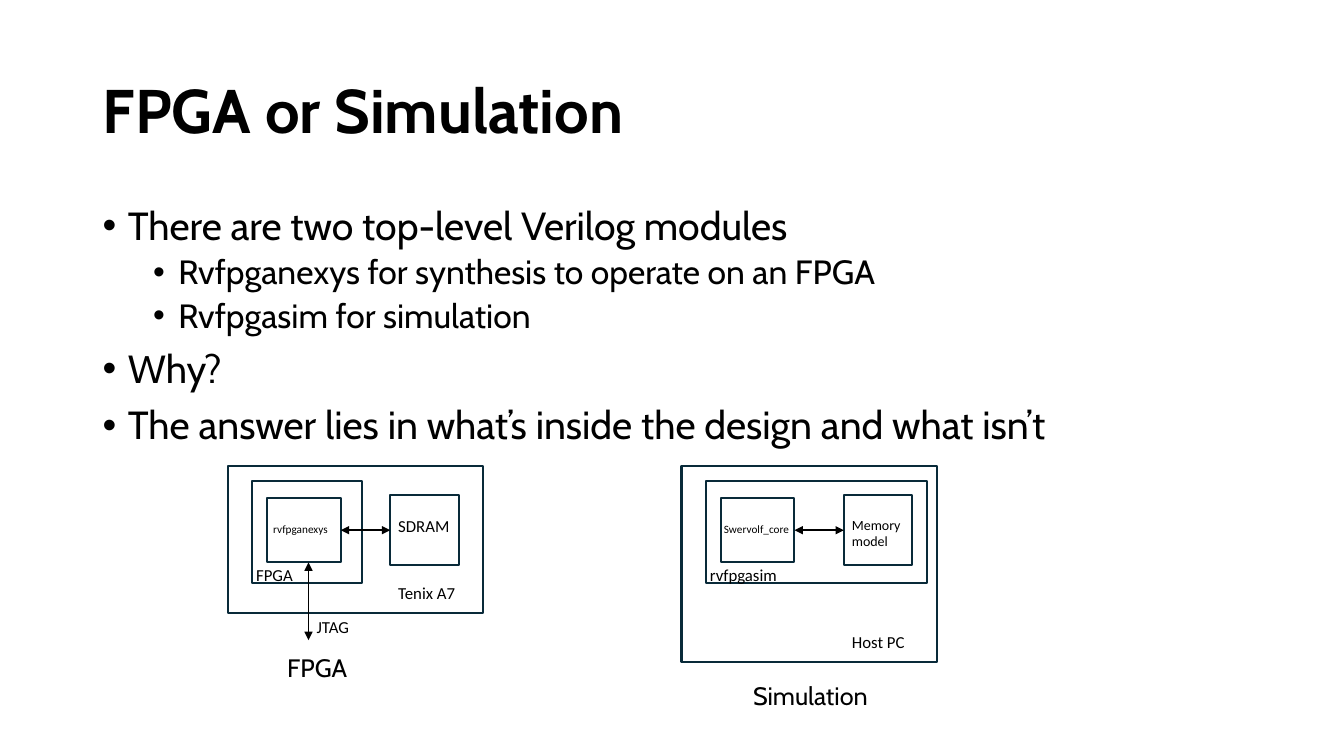
from lxml.etree import SubElement
from pptx import Presentation
from pptx.dml.color import RGBColor
from pptx.enum.shapes import MSO_CONNECTOR, MSO_SHAPE
from pptx.enum.text import MSO_ANCHOR, MSO_AUTO_SIZE, PP_ALIGN
from pptx.oxml.ns import qn
from pptx.util import Inches, Pt

BLACK = RGBColor(0x00, 0x00, 0x00)
WHITE = RGBColor(0xFF, 0xFF, 0xFF)
NAVY = RGBColor(0x09, 0x2A, 0x39)

TITLE = "FPGA or Simulation"
BULLETS = [
    (0, "There are two top-level Verilog modules"),
    (1, "Rvfpganexys for synthesis to operate on an FPGA"),
    (1, "Rvfpgasim for simulation"),
    (0, "Why?"),
    (0, "The answer lies in what’s inside the design and what isn’t"),
]
LEVELS = [dict(size=28, before=10, indent=0.25), dict(size=24, before=5, indent=0.75)]

DIAGRAMS = [
    dict(
        host="Tenix A7", host_height=1.46, design="FPGA", design_width=1.09,
        core="rvfpganexys", core_label=(0.45, 0.6), memory="SDRAM", memory_size=12,
        port="JTAG", caption="FPGA", caption_at=(0.49, 1.8, 1.68, 0.4),
    ),
    dict(
        host="Host PC", host_height=1.95, design="rvfpgasim", design_width=2.19,
        core="Swervolf_core", core_label=(0.42, 0.68), memory="Memory model", memory_size=10,
        port=None, caption="Simulation", caption_at=(0.61, 2.08, 1.99, 0.4),
    ),
]
DIAGRAM_LEFT, DIAGRAM_TOP, DIAGRAM_PITCH = 2.26, 4.62, 4.5
HOST_WIDTH = 2.53
BUS_Y = 0.64
CORE_LEFT, CORE_WIDTH, CORE_HEIGHT = 0.39, 0.73, 0.64
MEMORY_LEFT, MEMORY_WIDTH, MEMORY_HEIGHT = 1.61, 0.68, 0.7
LABEL_LEFT, LABEL_HEIGHT = 1.69, 0.23
PORT_X, PORT_BOTTOM = 0.8, 1.73


def write(paragraph, text, size, font="Calibri", bold=False, before=0, after=0, spacing=None):
    paragraph.alignment = PP_ALIGN.LEFT
    paragraph.space_before, paragraph.space_after = Pt(before), Pt(after)
    paragraph.line_spacing = spacing
    run = paragraph.add_run()
    run.text = text
    run.font.name, run.font.size, run.font.bold = font, Pt(size), bold
    run.font.color.rgb = BLACK


def add_bullet(paragraph, indent):
    properties = paragraph._p.get_or_add_pPr()
    properties.set("marL", str(Inches(indent)))
    properties.set("indent", str(Inches(-0.25)))
    SubElement(properties, qn("a:buFont"), typeface="Arial")
    SubElement(properties, qn("a:buChar"), char="•")


class Diagram:
    def __init__(self, slide, left, top):
        self.shapes = slide.shapes.add_group_shape().shapes
        self.left, self.top = left, top

    def place(self, left, top, width, height):
        return [Inches(v) for v in (self.left + left, self.top + top, width, height)]

    def box(self, *place, fill=None):
        shape = self.shapes.add_shape(MSO_SHAPE.RECTANGLE, *self.place(*place))
        shape.shadow.inherit = False
        if fill is None:
            shape.fill.background()
            shape.line.color.rgb, shape.line.width = NAVY, Pt(1.5)
        else:
            shape.fill.solid()
            shape.fill.fore_color.rgb = fill
            shape.line.fill.background()
        return shape

    def label(self, text, *place, size=12, fill=None):
        shape = self.box(*place, fill=fill) if fill else self.shapes.add_textbox(*self.place(*place))
        frame = shape.text_frame
        frame.word_wrap, frame.vertical_anchor = True, MSO_ANCHOR.TOP
        frame.margin_left = frame.margin_right = frame.margin_top = frame.margin_bottom = 0
        write(frame.paragraphs[0], text, size, after=6)

    def caption(self, text, *place):
        frame = self.shapes.add_textbox(*self.place(*place)).text_frame
        frame.word_wrap, frame.auto_size = True, MSO_AUTO_SIZE.SHAPE_TO_FIT_TEXT
        write(frame.paragraphs[0], text, 18, font="Cabin")

    def arrow(self, start, end, width):
        points = self.place(*start, *end)[:2] + self.place(*end, *start)[:2]
        connector = self.shapes.add_connector(MSO_CONNECTOR.STRAIGHT, *points)
        connector.line.color.rgb, connector.line.width = BLACK, Pt(width)
        line = connector.line._get_or_add_ln()
        for tag in ("a:headEnd", "a:tailEnd"):
            SubElement(line, qn(tag), type="triangle")
        SubElement(connector._element.spPr, qn("a:effectLst"))
        return connector


def draw_diagram(slide, column, content):
    diagram = Diagram(slide, DIAGRAM_LEFT + column * DIAGRAM_PITCH, DIAGRAM_TOP)
    host_height = content["host_height"]
    core_right = CORE_LEFT + CORE_WIDTH
    core_bottom = BUS_Y + CORE_HEIGHT / 2

    diagram.box(0, 0, HOST_WIDTH, host_height)
    diagram.box(0.24, 0.15, content["design_width"], 1.01)
    core = diagram.box(CORE_LEFT, BUS_Y - CORE_HEIGHT / 2, CORE_WIDTH, CORE_HEIGHT)
    memory = diagram.box(MEMORY_LEFT, BUS_Y - MEMORY_HEIGHT / 2, MEMORY_WIDTH, MEMORY_HEIGHT)
    bus = diagram.arrow((core_right, BUS_Y), (MEMORY_LEFT, BUS_Y), 1.75)
    bus.begin_connect(core, 3)
    bus.end_connect(memory, 1)

    core_label_left, core_label_width = content["core_label"]
    diagram.label(content["host"], LABEL_LEFT, host_height - 0.3, 0.74, LABEL_HEIGHT)
    diagram.label(content["memory"], LABEL_LEFT, 0.5, 0.54, 0.4, size=content["memory_size"])
    diagram.label(content["design"], 0.28, 0.98, 0.77, LABEL_HEIGHT)
    diagram.label(content["core"], core_label_left, 0.56, core_label_width, LABEL_HEIGHT,
                  size=8, fill=WHITE)
    if content["port"]:
        diagram.arrow((PORT_X, core_bottom), (PORT_X, PORT_BOTTOM), 1)
        diagram.label(content["port"], PORT_X + 0.08, 1.5, 0.44, LABEL_HEIGHT)
    diagram.caption(content["caption"], *content["caption_at"])


def main():
    presentation = Presentation()
    presentation.slide_width, presentation.slide_height = Inches(13.33), Inches(7.5)
    slide = presentation.slides.add_slide(presentation.slide_layouts[5])

    title = slide.shapes.title
    title.left, title.top, title.width, title.height = map(Inches, (0.92, 0.4, 11.5, 1.45))
    title.text_frame.vertical_anchor = MSO_ANCHOR.MIDDLE
    title.text_frame.auto_size = MSO_AUTO_SIZE.NONE
    write(title.text_frame.paragraphs[0], TITLE, 44, font="Cabin", bold=True, spacing=0.9)

    body = slide.shapes.add_textbox(*map(Inches, (0.92, 2, 11.5, 4.76))).text_frame
    body.word_wrap = True
    for index, (level, text) in enumerate(BULLETS):
        paragraph = body.add_paragraph() if index else body.paragraphs[0]
        paragraph.level = level
        style = LEVELS[level]
        add_bullet(paragraph, style["indent"])
        write(paragraph, text, style["size"], font="Cabin",
              before=style["before"] if index else 0, spacing=0.9)

    for column, content in enumerate(DIAGRAMS):
        draw_diagram(slide, column, content)
    presentation.save("out.pptx")


if __name__ == "__main__":
    main()
